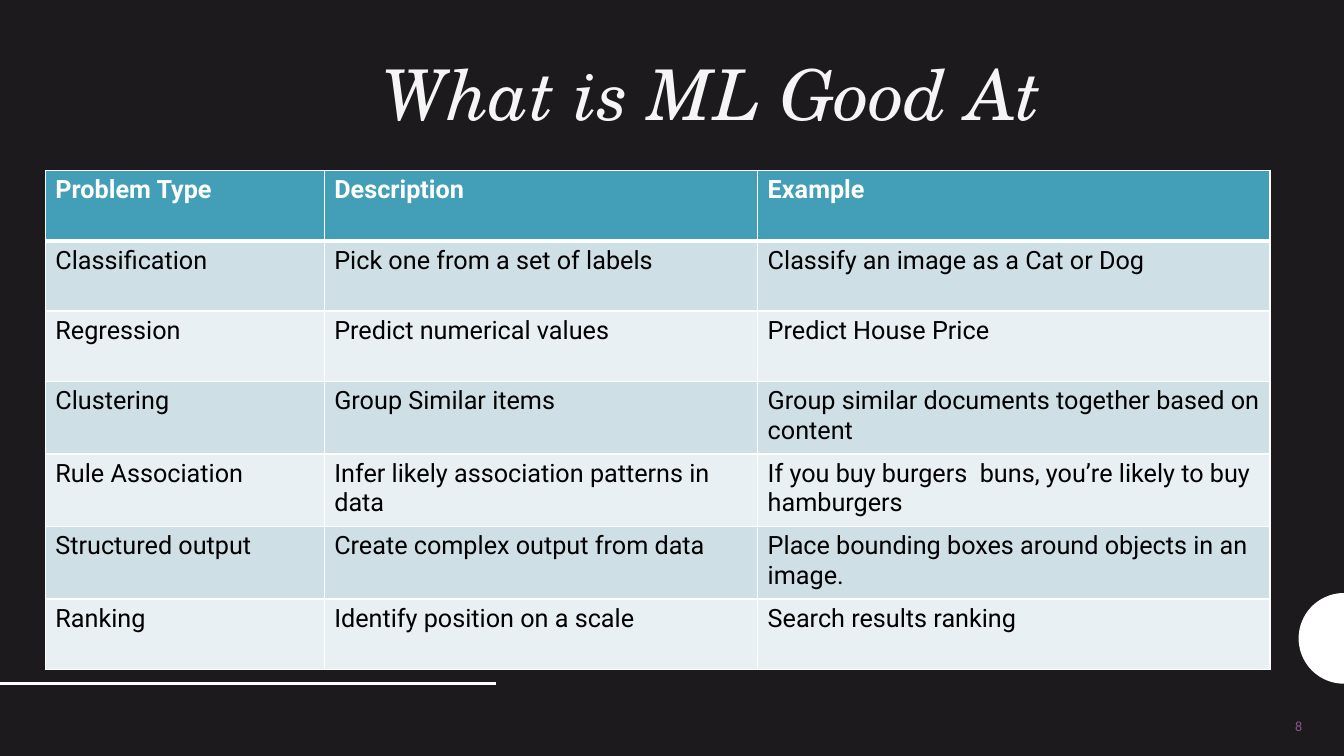
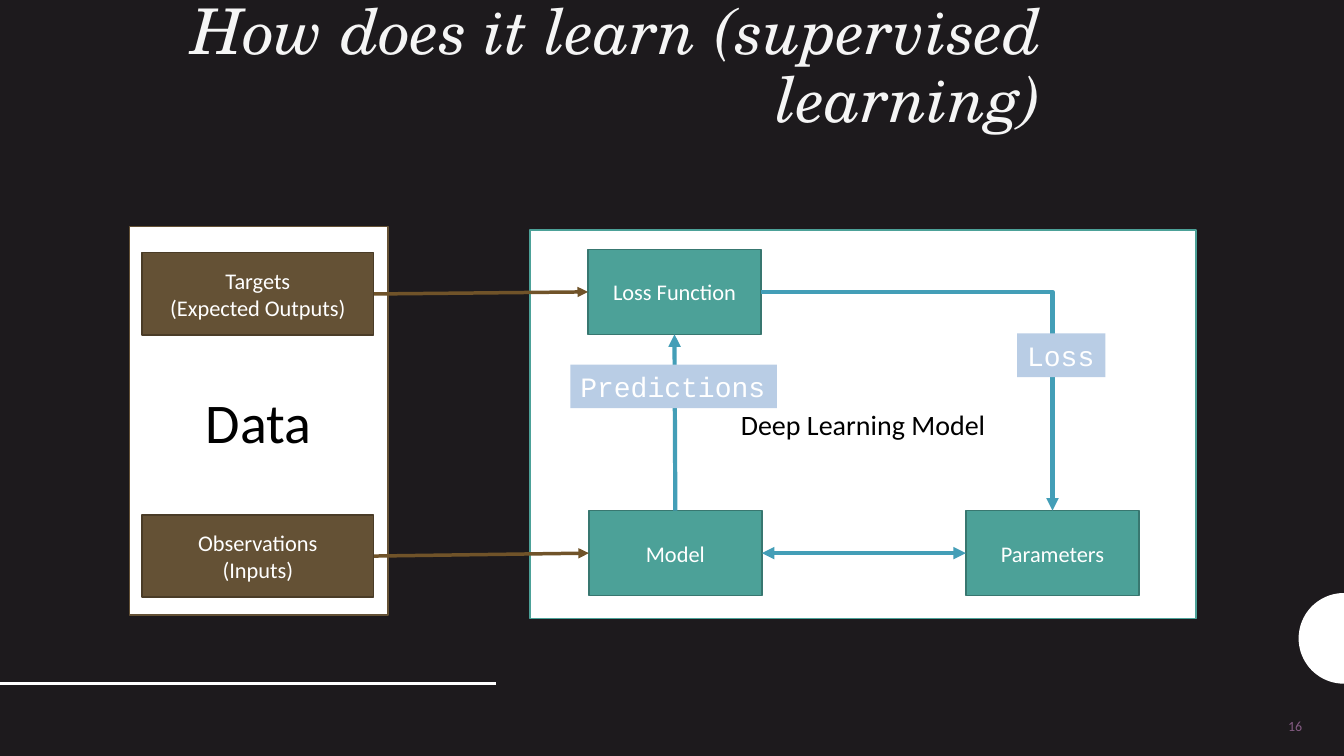
import math
import typing

import lxml.etree
import pptx
import pptx.dml.color
import pptx.enum.shapes
import pptx.enum.text
import pptx.oxml.ns
import pptx.util

RGB = pptx.dml.color.RGBColor
ALIGN = pptx.enum.text.PP_ALIGN
ANCHOR = pptx.enum.text.MSO_ANCHOR
CONNECTOR = pptx.enum.shapes.MSO_CONNECTOR
qn = pptx.oxml.ns.qn

BACKGROUND = RGB(0x1D, 0x1A, 0x1D)
WHITE = RGB(0xFF, 0xFF, 0xFF)
BLACK = RGB(0x00, 0x00, 0x00)
TITLE_TEXT = RGB(0xF5, 0xF5, 0xF5)
NUMBER_TEXT = RGB(0x83, 0x5B, 0x82)
BLUE = RGB(0x43, 0x9E, 0xB7)
BAND_DARK = RGB(0xCF, 0xDF, 0xE6)
BAND_LIGHT = RGB(0xE9, 0xF0, 0xF3)
BROWN = RGB(0x64, 0x51, 0x35)
BROWN_EDGE = RGB(0x4A, 0x3C, 0x27)
BROWN_ARROW = RGB(0x70, 0x53, 0x29)
TEAL = RGB(0x4C, 0xA1, 0x98)
TEAL_EDGE = RGB(0x38, 0x77, 0x70)
LABEL_FILL = RGB(0xB9, 0xCD, 0xE5)

TITLE_FONT = "TeX Gyre Schola"
TABLE_FONT = "Roboto"
BODY_FONT = "Calibri"
LABEL_FONT = "Courier New"

COLUMNS, ROWS = 160, 90
SLIDE_WIDTH, SLIDE_HEIGHT = pptx.util.Inches(13.33), pptx.util.Inches(7.5)


class Box(typing.NamedTuple):
    """A rectangle measured in grid columns and rows."""

    left: float
    top: float
    width: float
    height: float

    def inside(self, left, top, width, height):
        """Return a box offset from this one's top left corner."""
        return Box(self.left + left, self.top + top, width, height)

    def place(self):
        """Return left, top, width and height as slide lengths."""
        return across(self.left), down(self.top), across(self.width), down(self.height)


SLIDE = Box(0, 0, COLUMNS, ROWS)
TABLE_AREA = Box(5.4, 20.3, 145.8, 59.4)
DATA_AREA = Box(15.4, 27, 30.8, 46.2)
MODEL_AREA = Box(63.1, 27.4, 79.3, 46.2)

PROBLEMS = [
    ("Problem Type", "Description", "Example"),
    ("Classification", "Pick one from a set of labels", "Classify an image as a Cat or Dog"),
    ("Regression", "Predict numerical values", "Predict House Price"),
    ("Clustering", "Group Similar items", "Group similar documents together based on content"),
    ("Rule Association", "Infer likely association patterns in data",
     "If you buy burgers  buns, you’re likely to buy hamburgers"),
    ("Structured output", "Create complex output from data",
     "Place bounding boxes around objects in an image."),
    ("Ranking", "Identify position on a scale", "Search results ranking"),
]
COLUMN_WIDTHS = (33.2, 51.6, 61)
ROW_HEIGHTS = (8.37, 8.37, 8.37, 8.64, 8.64, 8.64, 8.37)


def across(columns):
    """Turn grid columns into a length."""
    return round(columns * SLIDE_WIDTH / COLUMNS)


def down(rows):
    """Turn grid rows into a length."""
    return round(rows * SLIDE_HEIGHT / ROWS)


def write(frame, text, font=BODY_FONT, size=16, color=WHITE, align=ALIGN.LEFT,
          anchor=ANCHOR.TOP, bold=False, italic=False, spacing=None, wrap=True):
    """Fill a text frame, one paragraph for each line of text."""
    frame.word_wrap = wrap
    frame.vertical_anchor = anchor
    for index, line in enumerate(text.split("\n")):
        para = frame.add_paragraph() if index else frame.paragraphs[0]
        para.alignment = align
        para.line_spacing = spacing
        span = para.add_run()
        span.text = line
        span.font.name = font
        span.font.size = pptx.util.Pt(size)
        span.font.color.rgb = color
        span.font.bold = bold
        span.font.italic = italic


def add_text(page, box, text, **style):
    """Add a text box."""
    frame = page.shapes.add_textbox(*box.place()).text_frame
    write(frame, text, **style)


def paint(shape, fill, edge=None):
    """Give a shape a flat fill and an optional thin outline."""
    shape.shadow.inherit = False
    shape.fill.solid()
    shape.fill.fore_color.rgb = fill
    if edge is None:
        shape.line.fill.background()
    else:
        shape.line.color.rgb = edge
        shape.line.width = pptx.util.Pt(1)


def add_card(page, box, text, fill, edge, **style):
    """Add a rectangle with centred text."""
    card = page.shapes.add_shape(pptx.enum.shapes.MSO_SHAPE.RECTANGLE, *box.place())
    paint(card, fill, edge)
    write(card.text_frame, text, align=ALIGN.CENTER, anchor=ANCHOR.MIDDLE, **style)
    return card


def add_label(page, box, text):
    """Add a tinted label that grows with its text."""
    label = page.shapes.add_textbox(*box.place())
    label.fill.solid()
    label.fill.fore_color.rgb = LABEL_FILL
    write(label.text_frame, text, font=LABEL_FONT, size=20, wrap=False)
    label.text_frame.auto_size = pptx.enum.text.MSO_AUTO_SIZE.SHAPE_TO_FIT_TEXT


def style_line(connector, color, width, ends=()):
    """Colour a connector, drop its shadow and add arrowheads."""
    connector.line.color.rgb = color
    connector.line.width = pptx.util.Pt(width)
    properties = connector.element.spPr
    lxml.etree.SubElement(properties, qn("a:effectLst"))
    for end in ends:
        lxml.etree.SubElement(properties.find(qn("a:ln")), qn(end), type="triangle")


def join(page, start, start_side, finish, finish_side, color=BLUE, width=3,
         ends=("a:tailEnd",), kind=CONNECTOR.STRAIGHT):
    """Join the sides of two cards with an arrow."""
    arrow = page.shapes.add_connector(kind, 0, 0, 0, 0)
    arrow.begin_connect(start, start_side)
    arrow.end_connect(finish, finish_side)
    if kind == CONNECTOR.ELBOW:
        arrow.element.spPr.find(qn("a:prstGeom")).set("prst", "bentConnector2")
    style_line(arrow, color, width, ends)


def add_half_disc(page, center_x, center_y, radius):
    """Add a half disc that opens to the right."""
    steps = 40
    angles = [math.pi * (0.5 + step / steps) for step in range(steps + 1)]
    points = [(across(center_x + radius * math.cos(angle)),
               down(center_y + radius * math.sin(angle))) for angle in angles]
    builder = page.shapes.build_freeform(*points[0])
    builder.add_line_segments(points[1:], close=True)
    paint(builder.convert_to_shape(), WHITE)


def add_page(deck, box, title, title_size, number):
    """Add a page with the shared background, ornaments, title and number."""
    page = deck.slides.add_slide(deck.slide_layouts[6])
    page.background.fill.solid()
    page.background.fill.fore_color.rgb = BACKGROUND
    add_half_disc(page, box.left + box.width, box.top + 76, 5.4)
    rule_y = down(box.top + 81.4)
    rule = page.shapes.add_connector(
        CONNECTOR.STRAIGHT, across(box.left), rule_y, across(box.left + 59), rule_y)
    style_line(rule, WHITE, 2)
    add_text(page, box.inside(118.9, 84, 37.3, 4.8), number, size=10, color=NUMBER_TEXT,
             align=ALIGN.RIGHT, anchor=ANCHOR.MIDDLE)
    add_text(page, box.inside(5.4, 1.7, 119.8, 15.1), title, font=TITLE_FONT, size=title_size,
             color=TITLE_TEXT, align=ALIGN.RIGHT, anchor=ANCHOR.BOTTOM, italic=True, spacing=0.9)
    return page


def add_borders(cell, bottom):
    """Draw white borders around a table cell."""
    properties = cell._tc.get_or_add_tcPr()
    for side, width in (("L", 1), ("R", 1), ("T", 1), ("B", bottom)):
        line = lxml.etree.SubElement(
            properties, qn(f"a:ln{side}"), w=str(pptx.util.Pt(width)))
        fill = lxml.etree.SubElement(line, qn("a:solidFill"))
        lxml.etree.SubElement(fill, qn("a:srgbClr"), val=str(WHITE))


def add_problem_table(page, box):
    """Add the table of problem types with a header and banded rows."""
    table = page.shapes.add_table(len(PROBLEMS), len(COLUMN_WIDTHS), *box.place()).table
    for column, width in zip(table.columns, COLUMN_WIDTHS):
        column.width = across(width)
    for index, (row, height, texts) in enumerate(zip(table.rows, ROW_HEIGHTS, PROBLEMS)):
        row.height = down(height)
        header = index == 0
        band = BLUE if header else BAND_DARK if index % 2 else BAND_LIGHT
        for cell, text in zip(row.cells, texts):
            add_borders(cell, 3 if header else 1)
            cell.fill.solid()
            cell.fill.fore_color.rgb = band
            write(cell.text_frame, text, font=TABLE_FONT, size=18, bold=header,
                  color=WHITE if header else BLACK)


def add_data_panel(page, box):
    """Add the data panel and return its targets and observations cards."""
    add_card(page, box, "Data", WHITE, BROWN, size=40, color=BLACK)
    return [add_card(page, box.inside(1.5, top, 27.6, 9.8), text, BROWN, BROWN_EDGE)
            for top, text in ((3.1, "Targets\n(Expected Outputs)"),
                              (34.3, "Observations\n(Inputs)"))]


def add_model_panel(page, box):
    """Add the model panel and return its loss function and model cards."""
    add_card(page, box, "Deep Learning Model", WHITE, TEAL, size=20, color=BLACK)
    loss, model, parameters = [
        add_card(page, box.inside(left, top, 20.6, 10.1), text, TEAL, TEAL_EDGE)
        for left, top, text in ((6.9, 2.3, "Loss Function"), (7, 33.4, "Model"),
                                (51.9, 33.4, "Parameters"))]
    join(page, model, 0, loss, 2)
    join(page, loss, 3, parameters, 0, kind=CONNECTOR.ELBOW)
    join(page, model, 3, parameters, 1, ends=("a:headEnd", "a:tailEnd"))
    add_label(page, box.inside(58, 12.3, 10.5, 5.2), "Loss")
    add_label(page, box.inside(4.8, 16, 24.6, 5.2), "Predictions")
    return loss, model


def main():
    """Build and save the deck."""
    deck = pptx.Presentation()
    deck.slide_width, deck.slide_height = SLIDE_WIDTH, SLIDE_HEIGHT

    page = add_page(deck, SLIDE, "What is ML Good At", 50, "8")
    add_problem_table(page, TABLE_AREA)

    page = add_page(deck, SLIDE, "How does it learn (supervised learning)", 45, "16")
    sources = add_data_panel(page, DATA_AREA)
    receivers = add_model_panel(page, MODEL_AREA)
    for source, receiver in zip(sources, receivers):
        join(page, source, 3, receiver, 1, color=BROWN_ARROW, width=2.5)

    deck.save("out.pptx")


if __name__ == "__main__":
    main()
